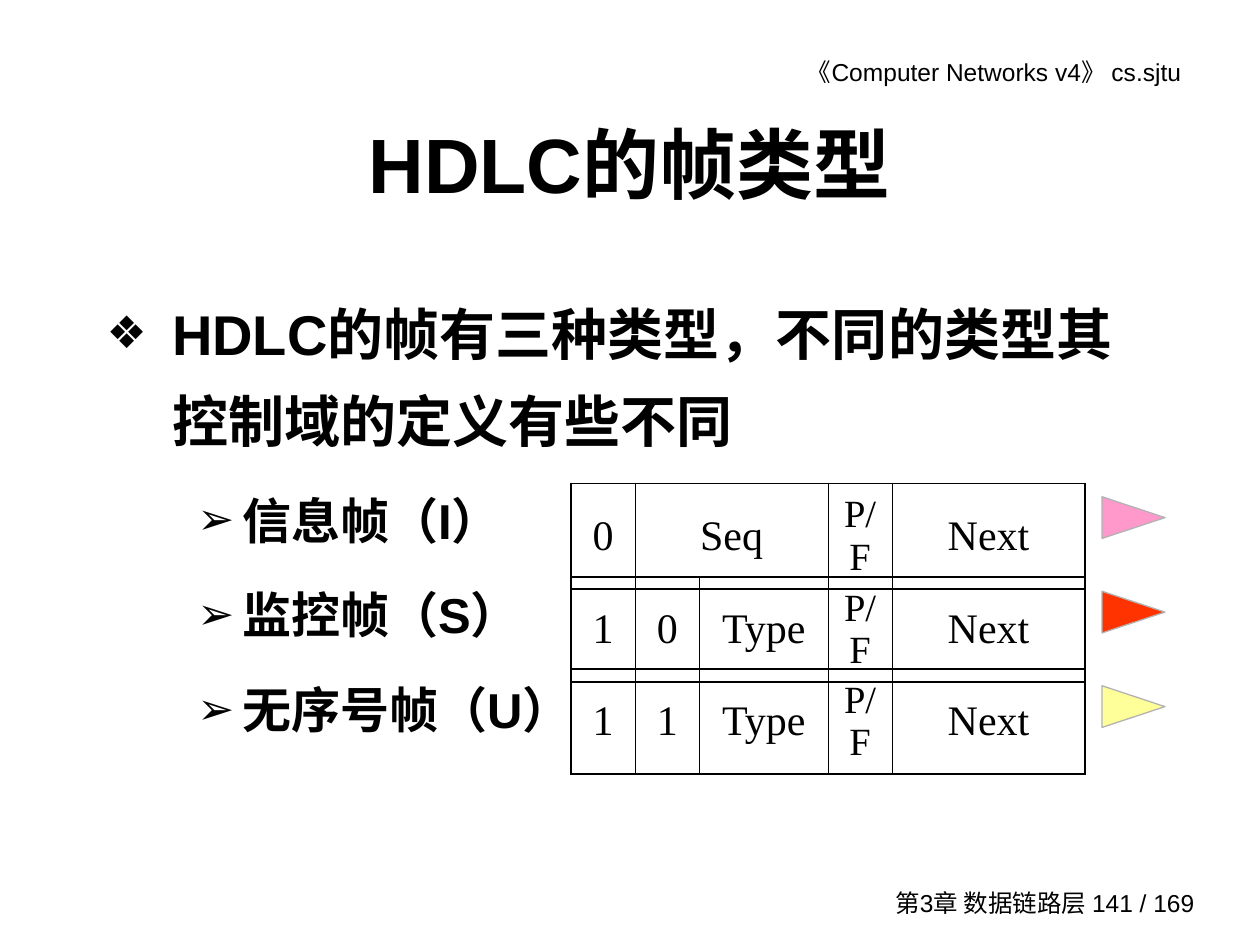
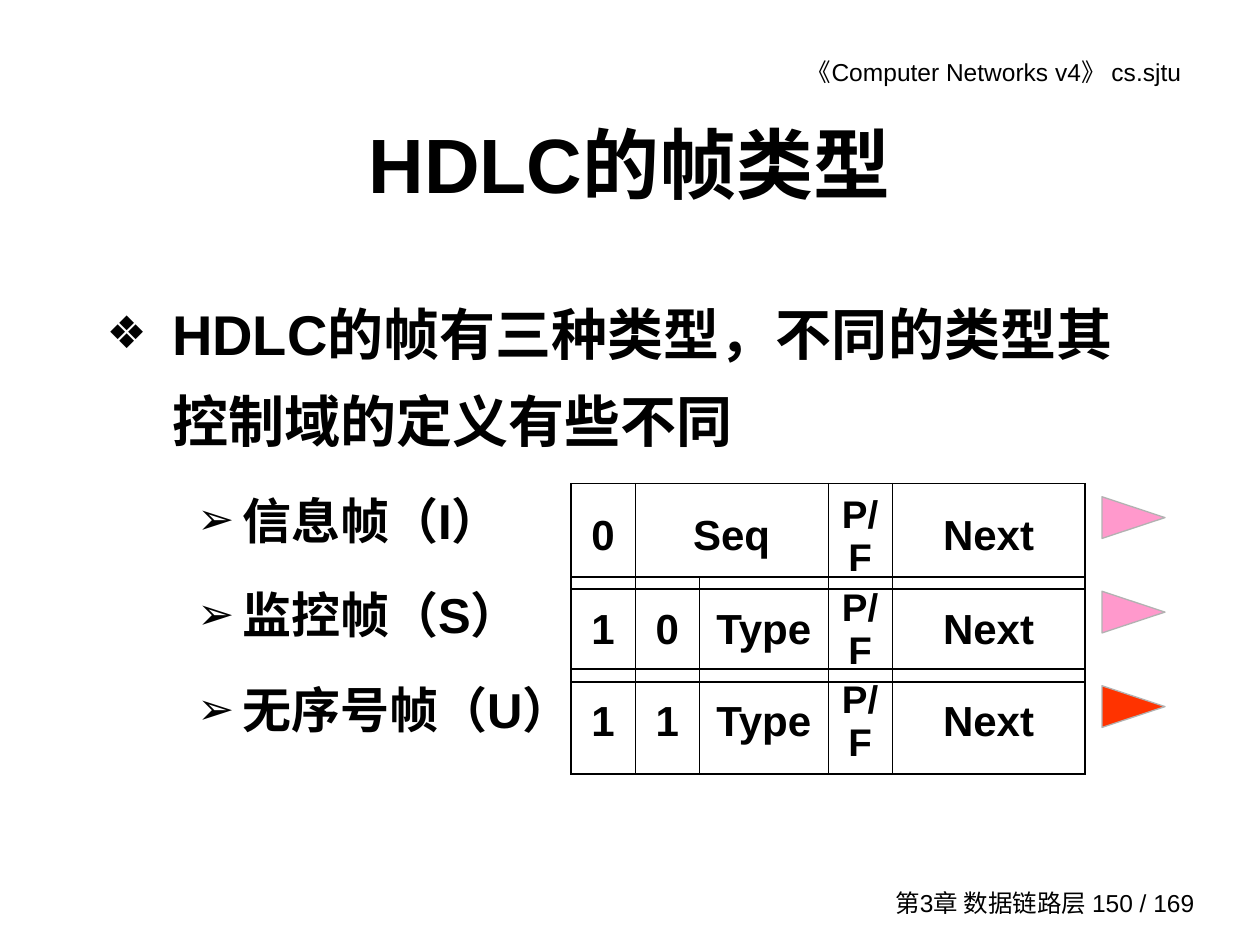
from lxml import etree
from pptx import Presentation
from pptx.dml.color import RGBColor as RGB
from pptx.enum.shapes import MSO_SHAPE as Preset
from pptx.enum.text import MSO_ANCHOR as Anchor, PP_ALIGN as Align
from pptx.oxml.ns import qn
from pptx.util import Cm, Pt

COLORS = {
    "ink": "000000",
    "pink": "FF99CC",
    "red": "FF3300",
    "yellow": "FFFF99",
    "edge": "B2B2B2",
}
LAST_PAGE = 169
OUTER, INNER = 1.08, 0.45  # border widths in points
UNIT = 1.295  # width of one table unit in cm

# Frame kinds: name, table top and row height in cm, fields with their widths in units
TAIL = [("P/F", 1), ("Next", 3)]
FRAMES = [
    ("信息帧（I）", 9.75, 1.4, [("0", 1), ("Seq", 3)] + TAIL),
    ("监控帧（S）", 11.63, 1.35, [("1", 1), ("0", 1), ("Type", 2)] + TAIL),
    ("无序号帧（U）", 13.49, 1.37, [("1", 1), ("1", 1), ("Type", 2)] + TAIL),
]


def color(name):
    return RGB.from_string(COLORS[name])


def add_run(paragraph, text, size, bold=False, font="Arial"):
    run = paragraph.add_run()
    run.text = text
    run.font.size = Pt(size)
    run.font.bold = bold
    run.font.name = font
    run.font.color.rgb = color("ink")


def add_frame(slide, left, top, width, height, anchor=Anchor.TOP):
    frame = slide.shapes.add_textbox(Cm(left), Cm(top), Cm(width), Cm(height)).text_frame
    frame.word_wrap = True
    frame.vertical_anchor = anchor
    return frame


def add_line(frame, text, size, align, bold=False):
    paragraph = frame.paragraphs[0]
    paragraph.alignment = align
    add_run(paragraph, text, size, bold)


def add_bullet(paragraph, char, percent, margin, hanging):
    props = paragraph._p.get_or_add_pPr()
    props.set("marL", str(Cm(margin)))
    props.set("indent", str(-Cm(hanging)))
    bullet_color = etree.SubElement(props, qn("a:buClr"))
    etree.SubElement(bullet_color, qn("a:srgbClr"), val=COLORS["ink"])
    etree.SubElement(props, qn("a:buSzPct"), val=str(percent * 1000))
    etree.SubElement(props, qn("a:buFont"), typeface="Arial")
    etree.SubElement(props, qn("a:buChar"), char=char)


def add_page_frame(slide, page):
    """Header, footer and title shared by the slides."""
    header = add_frame(slide, 13.39, 1.02, 10.95, 0.86)
    header.margin_right = Cm(0.53)
    add_line(header, "《Computer Networks v4》 cs.sjtu", 14, Align.RIGHT)
    footer = add_frame(slide, 17.63, 17.78, 6.7, 0.84, Anchor.MIDDLE)
    add_line(footer, f"第3章 数据链路层 {page} / {LAST_PAGE}", 14, Align.RIGHT)
    title = add_frame(slide, 1.9, 1.7, 21.6, 3.18, Anchor.MIDDLE)
    add_line(title, "HDLC的帧类型", 44, Align.CENTER, bold=True)


def add_outline(slide):
    outline = add_frame(slide, 1.9, 5.51, 20.88, 11.43)
    intro = outline.paragraphs[0]
    add_bullet(intro, "❖", 80, 1.32, 1.32)
    intro.line_spacing = 1.3
    add_run(intro, "HDLC的帧有三种类型，不同的类型其控制域的定义有些不同", 32, bold=True)
    for name, *_ in FRAMES:
        item = outline.add_paragraph()
        item.level = 1
        add_bullet(item, "➢", 90, 2.74, 0.91)
        item.line_spacing = 1.3
        item.space_before = Pt(10.5)
        add_run(item, name, 28, bold=True)


def set_border(cell, side, width):
    line = etree.SubElement(cell._tc.get_or_add_tcPr(), qn(f"a:ln{side}"), w=str(Pt(width)))
    fill = etree.SubElement(line, qn("a:solidFill"))
    etree.SubElement(fill, qn("a:srgbClr"), val=COLORS["ink"])


def add_control_field(slide, top, height, fields, font, bold):
    """One-row table with the fields of a frame's control byte."""
    total = sum(units for _, units in fields)
    table = slide.shapes.add_table(
        1, len(fields), Cm(11.51), Cm(top), Cm(total * UNIT), Cm(height)).table
    table.first_row = table.horz_banding = False
    last = len(fields) - 1
    for column, (text, units) in enumerate(fields):
        table.columns[column].width = Cm(units * UNIT)
        cell = table.cell(0, column)
        cell.vertical_anchor = Anchor.MIDDLE
        poll = text == "P/F"
        if not poll:
            cell.margin_left = cell.margin_right = Cm(0.1)
        set_border(cell, "L", INNER if column else OUTER)
        set_border(cell, "R", INNER if column < last else OUTER)
        set_border(cell, "T", OUTER)
        set_border(cell, "B", OUTER)
        cell.fill.background()
        paragraph = cell.text_frame.paragraphs[0]
        paragraph.alignment = Align.CENTER
        add_run(paragraph, text, 22 if poll else 24, bold, font)


def add_marker(slide, row, fill):
    """Triangle pointing right beside a table row."""
    marker = slide.shapes.add_shape(
        Preset.ISOSCELES_TRIANGLE, Cm(22.43), Cm(9.8 + 1.905 * row), Cm(0.84), Cm(1.27))
    marker.rotation = 90
    marker.shadow.inherit = False
    marker.fill.solid()
    marker.fill.fore_color.rgb = color(fill)
    marker.line.color.rgb = color("edge")
    marker.line.width = Pt(0.75)


def add_frame_types(deck, page, markers, font, bold):
    slide = deck.slides.add_slide(deck.slide_layouts[6])
    add_page_frame(slide, page)
    add_outline(slide)
    for row, fill in enumerate(markers):
        add_marker(slide, row, fill)
    for _, top, height, fields in FRAMES:
        add_control_field(slide, top, height, fields, font, bold)


def main():
    deck = Presentation()
    deck.slide_width, deck.slide_height = Cm(25.4), Cm(19.05)
    add_frame_types(deck, 141, ["pink", "red", "yellow"], "Times New Roman", False)
    add_frame_types(deck, 150, ["pink", "pink", "red"], "Arial", True)
    deck.save("out.pptx")


if __name__ == "__main__":
    main()
